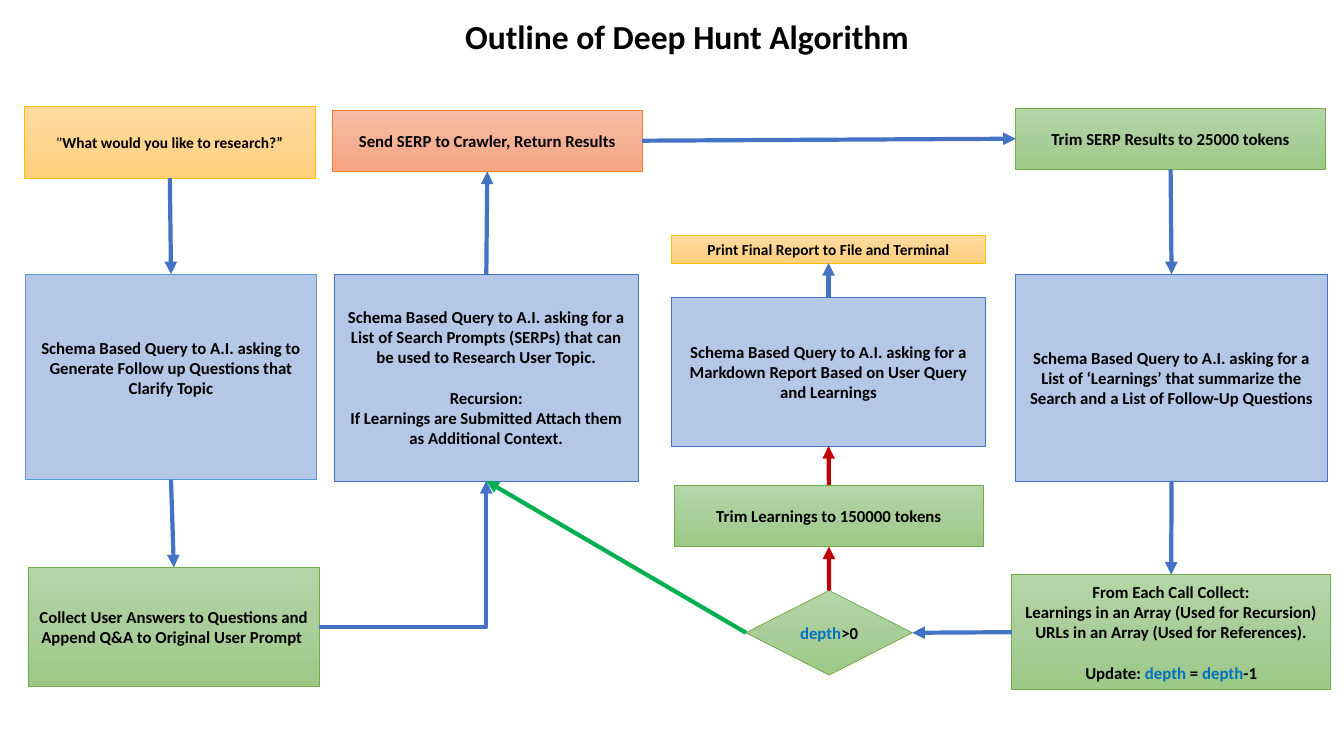
from copy import deepcopy

from lxml.etree import SubElement
from pptx import Presentation
from pptx.dml.color import RGBColor
from pptx.enum.shapes import MSO_CONNECTOR, MSO_SHAPE
from pptx.enum.text import MSO_ANCHOR, PP_ALIGN
from pptx.oxml.ns import qn
from pptx.util import Cm, Pt

TOP, LEFT, BOTTOM, RIGHT = range(4)
BLUE, RED, GREEN = "4472C4", "C00000", "00B050"
YELLOW_BOX = (["FFDB9E", "FFD590", "FFD07C"], "FFC000")
GREEN_BOX = (["B5D5A7", "AACE9A", "9CC987"], "70AD47")
ORANGE_BOX = (["F7BDA5", "F5B196", "F8A582"], "ED7D31")
BLUE_BOX = (["B4C7E7"], BLUE)
LIGHT_BLUE_BOX = (["B4C7E7"], "5B9BD5")


def rgb(value):
    """Turn a hex string into a colour."""
    return RGBColor.from_string(value)


class Flowchart:
    """Hold the style and the current slide, and draw its elements."""

    font, ink, accent = "Calibri", "000000", "0070C0"

    def __init__(self, prs):
        """Add a title-only slide to the presentation."""
        self.s = prs.slides.add_slide(prs.slide_layouts[5])

    def style(self, p, size):
        """Centre a paragraph and set its font."""
        p.alignment = PP_ALIGN.CENTER
        p.font.name, p.font.size = self.font, Pt(size)
        p.font.bold = True
        p.font.color.rgb = rgb(self.ink)

    def title(self, text, x, y, w, h):
        """Place and format the title."""
        sp = self.s.shapes.title
        sp.left, sp.top, sp.width, sp.height = Cm(x), Cm(y), Cm(w), Cm(h)
        tf = sp.text_frame
        tf.text = text
        tf.vertical_anchor = MSO_ANCHOR.MIDDLE
        p = tf.paragraphs[0]
        p.line_spacing = 0.9
        self.style(p, 24)

    def paint(self, sp, colours):
        """Fill a shape with one colour or a vertical gradient."""
        if len(colours) == 1:
            sp.fill.solid()
            sp.fill.fore_color.rgb = rgb(colours[0])
            return
        sp.fill.gradient()
        sp.fill.gradient_angle = 270
        stops = sp._element.spPr.find(".//" + qn("a:gsLst"))
        stops.insert(1, deepcopy(stops[0]))
        for i, (stop, colour) in enumerate(zip(sp.fill.gradient_stops, colours)):
            stop.position = i / 2
            stop.color.rgb = rgb(colour)

    def box(self, look, x, y, w, h, paragraphs, size=12, kind=MSO_SHAPE.RECTANGLE, gap_before=None):
        """Draw a box whose paragraphs are lists of text or (text, bold, colour) runs."""
        colours, edge = look
        sp = self.s.shapes.add_shape(kind, Cm(x), Cm(y), Cm(w), Cm(h))
        sp.shadow.inherit = False
        self.paint(sp, colours)
        sp.line.color.rgb = rgb(edge)
        sp.line.width = Pt(0.5)
        tf = sp.text_frame
        tf.word_wrap = True
        tf.vertical_anchor = MSO_ANCHOR.MIDDLE
        for i, runs in enumerate(paragraphs):
            p = tf.add_paragraph() if i else tf.paragraphs[0]
            self.style(p, size)
            if i == gap_before:
                p.space_before = Pt(14.6)
            for run in runs:
                r = p.add_run()
                if isinstance(run, str):
                    r.text = run
                else:
                    r.text, r.font.bold, colour = run
                    r.font.color.rgb = rgb(colour)
        return sp

    def arrow(self, start, start_side, end, end_side, colour=BLUE, bent=False):
        """Join the sides of two boxes with an arrow."""
        kind = MSO_CONNECTOR.ELBOW if bent else MSO_CONNECTOR.STRAIGHT
        c = self.s.shapes.add_connector(kind, 0, 0, 0, 0)
        c.begin_connect(start, start_side)
        c.end_connect(end, end_side)
        c.line.color.rgb = rgb(colour)
        c.line.width = Pt(3)
        spPr = c._element.spPr
        if bent:
            spPr.find(qn("a:prstGeom")).set("prst", "bentConnector2")
        SubElement(spPr.find(qn("a:ln")), qn("a:tailEnd"), type="triangle")
        SubElement(spPr, qn("a:effectLst"))


def main():
    """Build the flowchart slide."""
    prs = Presentation()
    prs.slide_width, prs.slide_height = Cm(33.87), Cm(19.05)
    f = Flowchart(prs)
    depth = ("depth", True, f.accent)
    f.title("Outline of Deep Hunt Algorithm", 6.05, 0.23, 22.53, 1.5)

    topic = f.box(YELLOW_BOX, 0.61, 2.69, 7.34, 1.8,
                  [[('"', False, f.ink), "What would you like to research?”"]], size=11)
    clarify = f.box(LIGHT_BLUE_BOX, 0.64, 6.91, 7.34, 5.18, [
        ["Schema Based Query to A.I. asking to Generate Follow up Questions that Clarify Topic"]])
    clarify.text_frame.margin_bottom = Cm(0.6)
    answers = f.box(GREEN_BOX, 0.71, 14.3, 7.34, 3, [
        ["Collect User Answers to Questions and Append Q&A to Original User Prompt "]])
    prompts = f.box(BLUE_BOX, 8.43, 6.91, 7.65, 5.21, [
        ["Schema Based Query to A.I. asking for a List of Search Prompts (SERPs) "
         "that can be used to Research User Topic."],
        ["Recursion:"],
        ["If Learnings are Submitted Attach them as Additional Context."]], gap_before=1)
    search = f.box(ORANGE_BOX, 8.38, 2.77, 7.8, 1.55,
                   [["Send SERP to Crawler, Return Results"]])
    trim_results = f.box(GREEN_BOX, 25.6, 2.72, 7.8, 1.55,
                         [["Trim SERP Results to 25000 tokens"]])
    learnings = f.box(BLUE_BOX, 25.6, 6.91, 7.85, 5.21, [
        ["Schema Based Query to A.I. asking for a List of ‘Learnings’ that summarize "
         "the Search and a List of Follow-Up Questions"]])
    collect = f.box(GREEN_BOX, 25.5, 14.48, 8.03, 2.9, [
        ["From Each Call Collect:"],
        ["Learnings in an Array (Used for Recursion)"],
        ["URLs in an Array (Used for References)."],
        ["Update: ", depth, " = ", depth, "-1"]], gap_before=3)
    check = f.box(GREEN_BOX, 18.8, 14.88, 4.19, 2.13, [[depth, ">0"]],
                  kind=MSO_SHAPE.FLOWCHART_DECISION)
    trim_learnings = f.box(GREEN_BOX, 16.99, 12.22, 7.8, 1.55,
                           [["Trim Learnings to 150000 tokens"]])
    report = f.box(BLUE_BOX, 16.92, 7.49, 7.92, 3.75, [
        ["Schema Based Query to A.I. asking for a Markdown Report Based on "
         "User Query and Learnings"]])
    output = f.box(YELLOW_BOX, 16.92, 5.94, 7.92, 0.69,
                   [["Print Final Report to File and Terminal"]], size=11)

    f.arrow(topic, BOTTOM, clarify, TOP)
    f.arrow(clarify, BOTTOM, answers, TOP)
    f.arrow(answers, RIGHT, prompts, BOTTOM, bent=True)
    f.arrow(prompts, TOP, search, BOTTOM)
    f.arrow(search, RIGHT, trim_results, LEFT)
    f.arrow(trim_results, BOTTOM, learnings, TOP)
    f.arrow(learnings, BOTTOM, collect, TOP)
    f.arrow(collect, LEFT, check, RIGHT)
    f.arrow(check, LEFT, prompts, BOTTOM, GREEN)
    f.arrow(check, TOP, trim_learnings, BOTTOM, RED)
    f.arrow(trim_learnings, TOP, report, BOTTOM, RED)
    f.arrow(report, TOP, output, BOTTOM)
    prs.save("out.pptx")


if __name__ == "__main__":
    main()
